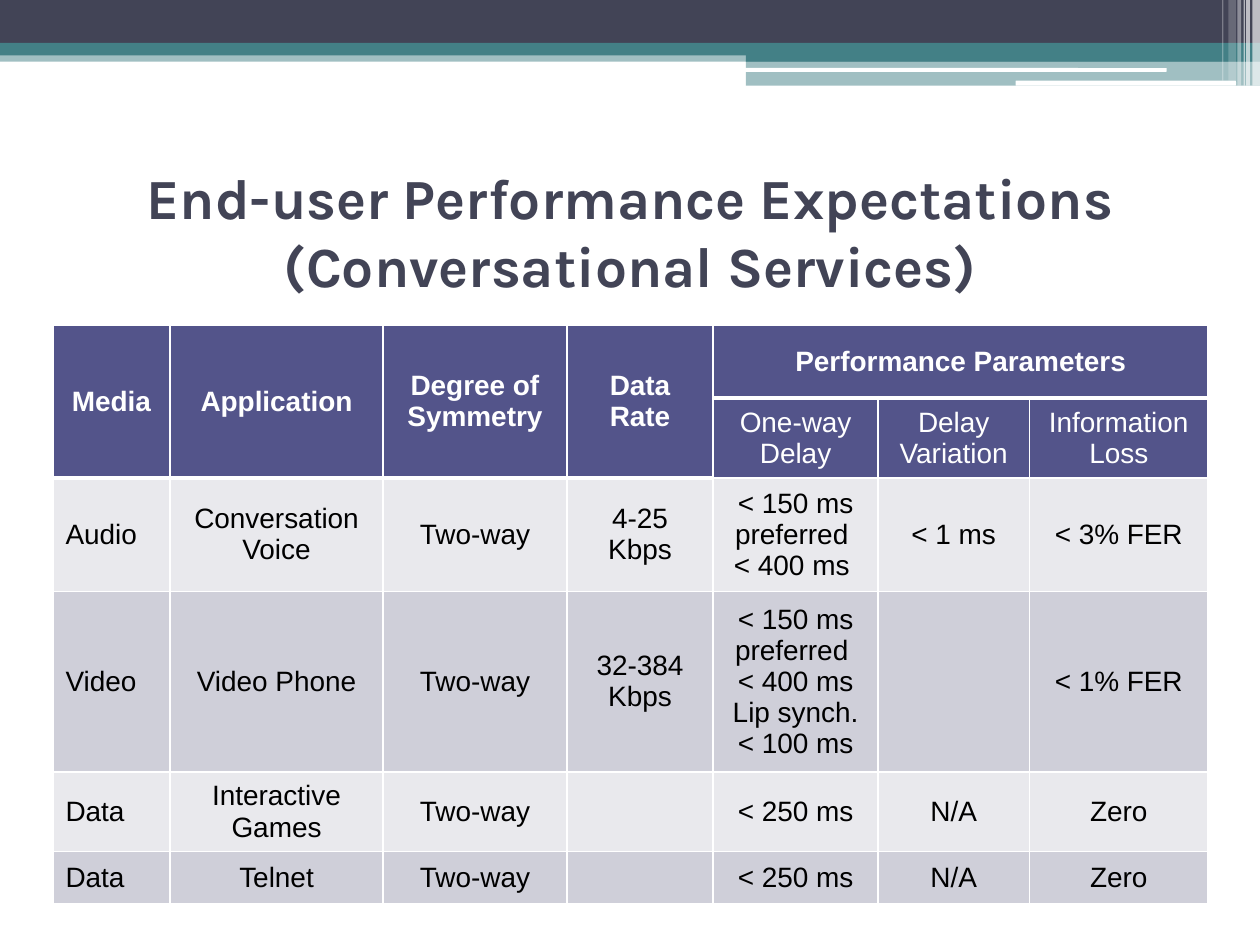
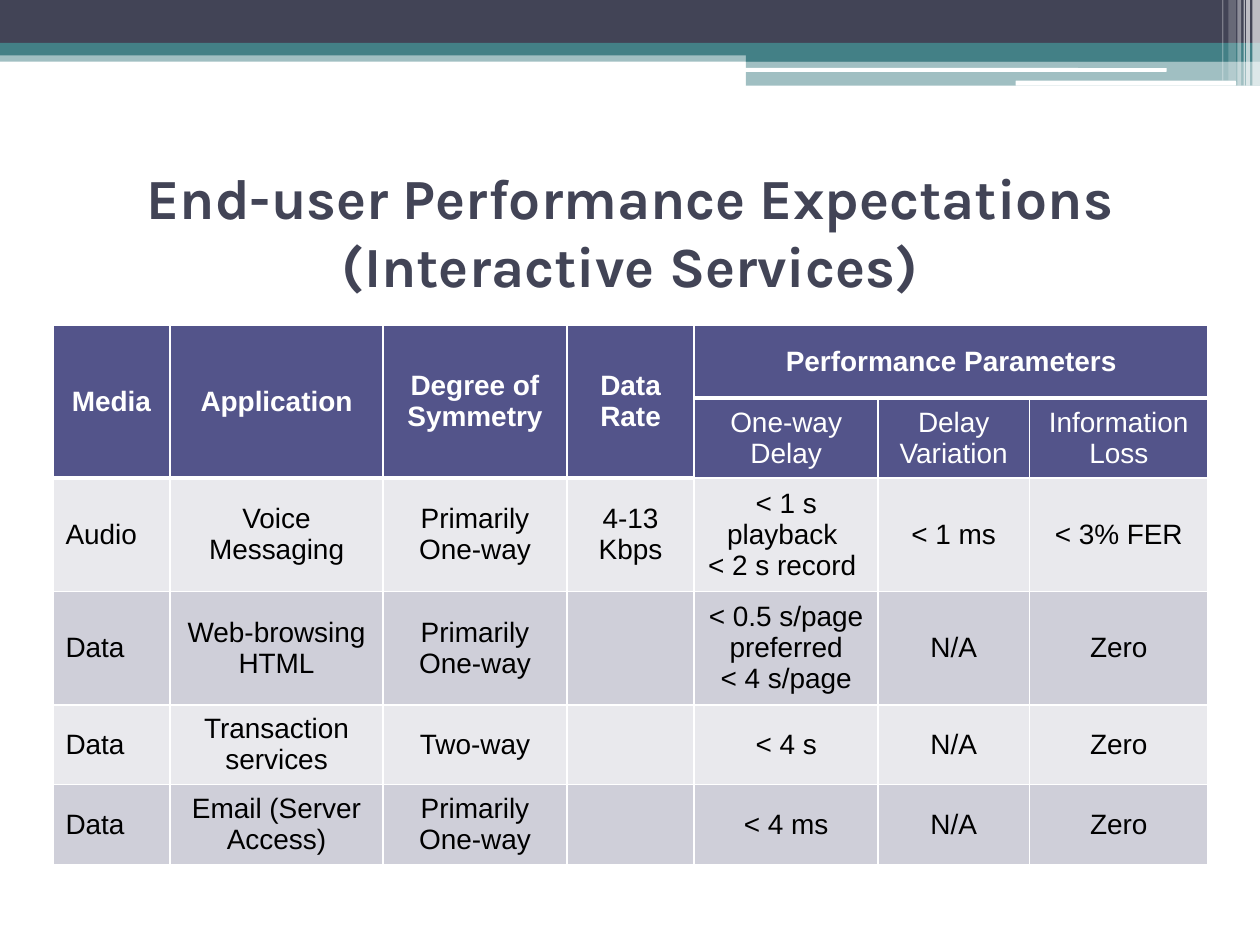
from dataclasses import dataclass

from pptx import Presentation
from pptx import util as u
from pptx.dml.color import RGBColor
from pptx.enum import shapes, text
from pptx.oxml import parse_xml
from pptx.oxml.ns import nsdecls


@dataclass(frozen=True)
class Theme:
    """Colours, fonts and type sizes shared by both slides."""
    slate: str = "424456"
    teal: str = "438086"
    white: str = "FFFFFF"
    black: str = "000000"
    header: str = "53548A"
    bands: tuple = ("E9E9ED", "CFCFD9")
    title_font: str = "Karla"
    title_size: float = 32.4
    table_font: str = "Arial"
    table_size: int = 16
    rule: int = 1
    heavy_rule: int = 3


THEME = Theme()

# Top banner: left, top, width, height, colour, opacity in percent
BANNER = [
    (0, 0.4, 10, 0.09, THEME.teal, 50),
    (0, 0, 10, 0.34, THEME.slate, 100),
    (0, 0.34, 10, 0.1, THEME.teal, 100),
    (5.92, 0.39, 4.08, 0.1, THEME.teal, 100),
    (5.92, 0.48, 4.08, 0.2, THEME.teal, 50),
]
# Rounded white strips: left, top, width, height
STRIPS = [(5.91, 0.54, 3.35, 0.03), (8.06, 0.64, 1.75, 0.04)]
# Vertical white bars at the right edge: left, width, height, opacity
BARS = [
    (9.94, 0.06, 0.68, 65),
    (9.89, 0.03, 0.68, 65),
    (9.87, 0.01, 0.68, 60),
    (9.82, 0.03, 0.68, 40),
    (9.75, 0.06, 0.64, 20),
    (9.7, 0.01, 0.64, 30),
]

# Table heading rows; the first four headings span both of them
HEADINGS = ["Media", "Application", "Degree of Symmetry", "Data Rate",
            "Performance Parameters", "", ""]
PARAMETERS = ["", "", "", "", "One-way Delay", "Delay Variation",
              "Information Loss"]
HEADER_HEIGHT, ROW_HEIGHT = 0.58, 0.41

# Each service class: column widths and rows; a line break starts a paragraph
SERVICES = {
    "Conversational": (
        [0.93, 1.69, 1.46, 1.16, 1.31, 1.2, 1.42],
        [
            ["Audio", "Conversation Voice", "Two-way", "4-25 Kbps",
             "< 150 ms preferred \n< 400 ms ", "< 1 ms", "< 3% FER"],
            ["Video", "Video Phone", "Two-way", "32-384 Kbps",
             "< 150 ms preferred \n< 400 ms\nLip synch.\n< 100 ms", "",
             "< 1% FER"],
            ["Data", "Interactive Games", "Two-way", "", "< 250 ms", "N/A",
             "Zero"],
            ["Data", "Telnet", "Two-way", "", "< 250 ms", "N/A", "Zero"],
        ],
    ),
    "Interactive": (
        [0.93, 1.69, 1.46, 1.01, 1.46, 1.2, 1.42],
        [
            ["Audio", "Voice Messaging", "Primarily One-way", "4-13 Kbps",
             "< 1 s playback \n< 2 s record ", "< 1 ms", "< 3% FER"],
            ["Data", "Web-browsing HTML", "Primarily One-way", "",
             "< 0.5 s/page\npreferred\n< 4 s/page", "N/A", "Zero"],
            ["Data", "Transaction services", "Two-way", "", "< 4 s", "N/A",
             "Zero"],
            ["Data", "Email (Server Access)", "Primarily One-way", "",
             "< 4 ms", "N/A", "Zero"],
        ],
    ),
}


class Deck:
    """Holds the theme and the current slide."""

    def __init__(self, theme):
        self.theme = theme
        self.prs = Presentation()
        self.prs.slide_width = u.Inches(10)
        self.prs.slide_height = u.Inches(7.5)
        self.slide = None

    def new_slide(self):
        self.slide = self.prs.slides.add_slide(self.prs.slide_layouts[6])

    def block(self, left, top, width, height, color, opacity=100,
              kind=shapes.MSO_SHAPE.RECTANGLE):
        block = self.slide.shapes.add_shape(
            kind, *map(u.Inches, (left, top, width, height)))
        block.shadow.inherit = False
        block.line.fill.background()
        block.fill.solid()
        block.fill.fore_color.rgb = RGBColor.from_string(color)
        if opacity < 100:
            srgb = block.element.spPr.xpath("./a:solidFill/a:srgbClr")[0]
            srgb.append(parse_xml(
                f'<a:alpha {nsdecls("a")} val="{opacity * 1000}"/>'))

    def banner(self):
        for band in BANNER:
            self.block(*band)
        for strip in STRIPS:
            self.block(*strip, self.theme.white,
                       kind=shapes.MSO_SHAPE.ROUNDED_RECTANGLE)
        for left, width, height, opacity in BARS:
            self.block(left, 0, width, height, self.theme.white, opacity)

    def add_words(self, paragraph, words, font, size, color, bold,
                  centred=True):
        paragraph.alignment = (text.PP_ALIGN.CENTER if centred
                               else text.PP_ALIGN.LEFT)
        if not words:
            paragraph.font.size = u.Pt(size)
            return
        run = paragraph.add_run()
        run.text = words
        run.font.name = font
        run.font.size = u.Pt(size)
        run.font.bold = bold
        run.font.color.rgb = RGBColor.from_string(color)

    def title(self, words):
        box = self.slide.shapes.add_textbox(
            *map(u.Inches, (0.5, 1.25, 9, 1.17)))
        frame = box.text_frame
        frame.word_wrap = True
        frame.vertical_anchor = text.MSO_ANCHOR.MIDDLE
        self.add_words(frame.paragraphs[0], words, self.theme.title_font,
                       self.theme.title_size, self.theme.slate, True)

    def borders(self, cell, top, bottom):
        properties = cell._tc.get_or_add_tcPr()
        sides = {"L": self.theme.rule, "R": self.theme.rule,
                 "T": top, "B": bottom}
        for index, (side, width) in enumerate(sides.items()):
            properties.insert(index, parse_xml(
                f'<a:ln{side} {nsdecls("a")} w="{u.Pt(width)}"><a:solidFill>'
                f'<a:srgbClr val="{self.theme.white}"/></a:solidFill>'
                f'</a:ln{side}>'))

    def cell(self, cell, words, row, column):
        theme = self.theme
        in_header = row < 2
        cell.fill.solid()
        cell.fill.fore_color.rgb = RGBColor.from_string(
            theme.header if in_header else theme.bands[row % 2])
        self.borders(cell,
                     theme.heavy_rule if row == 1 else theme.rule,
                     theme.heavy_rule if row == 0 else theme.rule)
        cell.vertical_anchor = text.MSO_ANCHOR.MIDDLE
        frame = cell.text_frame
        for index, line in enumerate(words.split("\n")):
            paragraph = frame.add_paragraph() if index else frame.paragraphs[0]
            self.add_words(paragraph, line, theme.table_font, theme.table_size,
                           theme.white if in_header else theme.black,
                           bold=row == 0, centred=in_header or column > 0)

    def table(self, widths, services):
        rows = [HEADINGS, PARAMETERS, *services]
        heights = [HEADER_HEIGHT] * 2 + [ROW_HEIGHT] * len(services)
        table = self.slide.shapes.add_table(
            len(rows), len(widths), u.Inches(0.42), u.Inches(2.58),
            u.Inches(sum(widths)), u.Inches(sum(heights))).table
        table.first_row = table.horz_banding = False
        for column, width in zip(table.columns, widths):
            column.width = u.Inches(width)
        for row, height in zip(table.rows, heights):
            row.height = u.Inches(height)
        for r, row in enumerate(rows):
            for c, words in enumerate(row):
                self.cell(table.cell(r, c), words, r, c)
        # Headings that span two rows, then the one that spans three columns
        for c in range(4):
            table.cell(0, c).merge(table.cell(1, c))
        table.cell(0, 4).merge(table.cell(0, 6))


def main():
    deck = Deck(THEME)
    for service, (widths, rows) in SERVICES.items():
        deck.new_slide()
        deck.banner()
        deck.title(f"End-user Performance Expectations ({service} Services)")
        deck.table(widths, rows)
    deck.prs.save("out.pptx")


if __name__ == "__main__":
    main()
